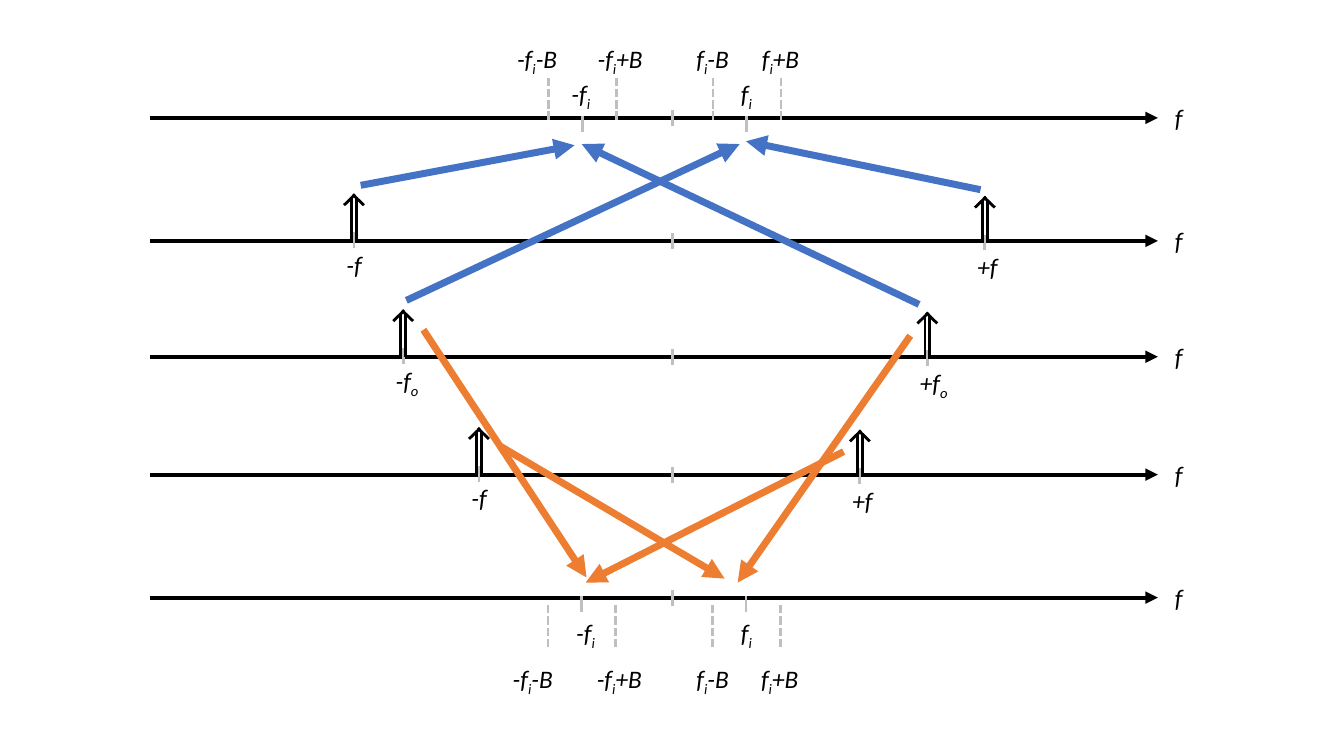
from lxml import etree
from pptx import Presentation
from pptx.dml.color import RGBColor
from pptx.enum.dml import MSO_LINE
from pptx.enum.shapes import MSO_CONNECTOR
from pptx.enum.text import MSO_AUTO_SIZE
from pptx.oxml.ns import qn
from pptx.util import Cm, Pt

STRAIGHT = MSO_CONNECTOR.STRAIGHT
DASH = MSO_LINE.SQUARE_DOT
GROW = MSO_AUTO_SIZE.SHAPE_TO_FIT_TEXT

BLACK, GREY, BLUE, ORANGE = "000000", "BFBFBF", "4472C4", "ED7D31"
AXIS_LEFT, AXIS_RIGHT, ZERO_X = 3.78, 29.18, 16.94
AXES_Y = [2.97, 6.07, 8.99, 11.96, 15.06]
RIGHT_DROP = 0.06  # impulses on the positive side sit slightly lower

# label, x, axis y, label width
IMPULSES = [
    ("-f", 8.92, AXES_Y[1], 0.91),
    ("+f", 24.82, AXES_Y[1] + RIGHT_DROP, 1.04),
    ("-f_o", 10.16, AXES_Y[2], 1.12),
    ("+f_o", 23.37, AXES_Y[2] + RIGHT_DROP, 1.24),
    ("-f", 12.07, AXES_Y[3], 0.91),
    ("+f", 21.67, AXES_Y[3] + RIGHT_DROP, 1.04),
]

# dash top and bottom, tick top and bottom, edge label top, centre label top
TOP_ROWS = (1.93, 3.02, 2.92, 3.33, 0.97, 1.85)
BOTTOM_ROWS = (15.19, 16.31, 15.01, 15.42, 16.59, 15.42)

# centre label, centre x, rows, left of centre label, left of lower edge label
BANDS = [
    ("f_i", 18.82, TOP_ROWS, 18.42, 17.3),
    ("f_i", 18.8, BOTTOM_ROWS, 18.42, 17.3),
    ("-f_i", 14.68, TOP_ROWS, 14.15, 12.78),
    ("-f_i", 14.66, BOTTOM_ROWS, 14.27, 12.67),
]

MIXING_ARROWS = [
    (BLUE, 23.16, 7.67, 14.66, 3.63),
    (BLUE, 9.09, 4.67, 14.48, 3.66),
    (BLUE, 10.24, 7.57, 18.64, 3.63),
    (BLUE, 24.71, 4.78, 18.8, 3.56),
    (ORANGE, 10.67, 8.31, 14.78, 14.55),
    (ORANGE, 21.26, 11.38, 14.76, 14.68),
    (ORANGE, 22.94, 8.46, 18.59, 14.68),
    (ORANGE, 12.62, 11.25, 18.26, 14.58),
]


def rgb(color):
    return RGBColor.from_string(color)


def add_line(s, x1, y1, x2, y2, color=GREY, width=2, dash=None, arrow=False):
    line = s.shapes.add_connector(STRAIGHT, Cm(x1), Cm(y1), Cm(x2), Cm(y2))
    line.line.color.rgb = rgb(color)
    line.line.width = Pt(width)
    if dash:
        line.line.dash_style = dash
    sp_pr = line._element.spPr
    if arrow:
        etree.SubElement(sp_pr.find(qn("a:ln")), qn("a:tailEnd"), type="triangle")
    etree.SubElement(sp_pr, qn("a:effectLst"))


def add_text(s, text, x, y, w, h=1.02, size=18, color=BLACK, wrap=True):
    """Add an italic label; every second part between underscores is a subscript."""
    tf = s.shapes.add_textbox(Cm(x), Cm(y), Cm(w), Cm(h)).text_frame
    tf.word_wrap = wrap
    tf.auto_size = GROW
    p = tf.paragraphs[0]
    for i, part in enumerate(text.split("_")):
        r = p.add_run()
        r.text = part
        r.font.name = "Calibri"
        r.font.size = Pt(size)
        r.font.italic = True
        r.font.color.rgb = rgb(color)
        if i % 2:
            r._r.get_or_add_rPr().set("baseline", "-25000")


def add_axis(s, y):
    add_line(s, AXIS_LEFT, y, AXIS_RIGHT, y, BLACK, 3, arrow=True)
    add_text(s, "f", 29.36, y - 0.52, 0.71)
    add_line(s, ZERO_X, y - 0.2, ZERO_X, y + 0.2)


def add_impulse(s, label, x, y, label_width):
    add_line(s, x, y + 0.18, x, y - 0.22)
    add_text(s, label, x - 0.44, y + 0.08, label_width, wrap=False)
    for side in (-1, 1):
        bar_x = x + side * 0.06
        add_line(s, bar_x, y, bar_x, y - 1.1, BLACK)
        add_line(s, x + side * 0.25, y - 0.9, x - side * 0.03, y - 1.17, BLACK)


def add_band(s, label, x, rows, label_x, lower_x):
    dash_top, dash_bottom, tick_top, tick_bottom, edge_y, label_y = rows
    for edge_x in (x - 0.85, x + 0.86):
        add_line(s, edge_x, dash_bottom, edge_x, dash_top, dash=DASH)
    add_line(s, x, tick_bottom, x, tick_top)
    add_text(s, label, label_x, label_y, 1.07)
    add_text(s, label + "_-B", lower_x, edge_y, 1.83)
    add_text(s, label + "_+B", x + 0.13, edge_y, 1.83)


def main():
    prs = Presentation()
    prs.slide_width, prs.slide_height = Cm(33.87), Cm(19.05)
    s = prs.slides.add_slide(prs.slide_layouts[6])
    for y in AXES_Y:
        add_axis(s, y)
    for impulse in IMPULSES:
        add_impulse(s, *impulse)
    for band in BANDS:
        add_band(s, *band)
    for color, *ends in MIXING_ARROWS:
        add_line(s, *ends, color, 5, arrow=True)
    prs.save("out.pptx")


if __name__ == "__main__":
    main()
